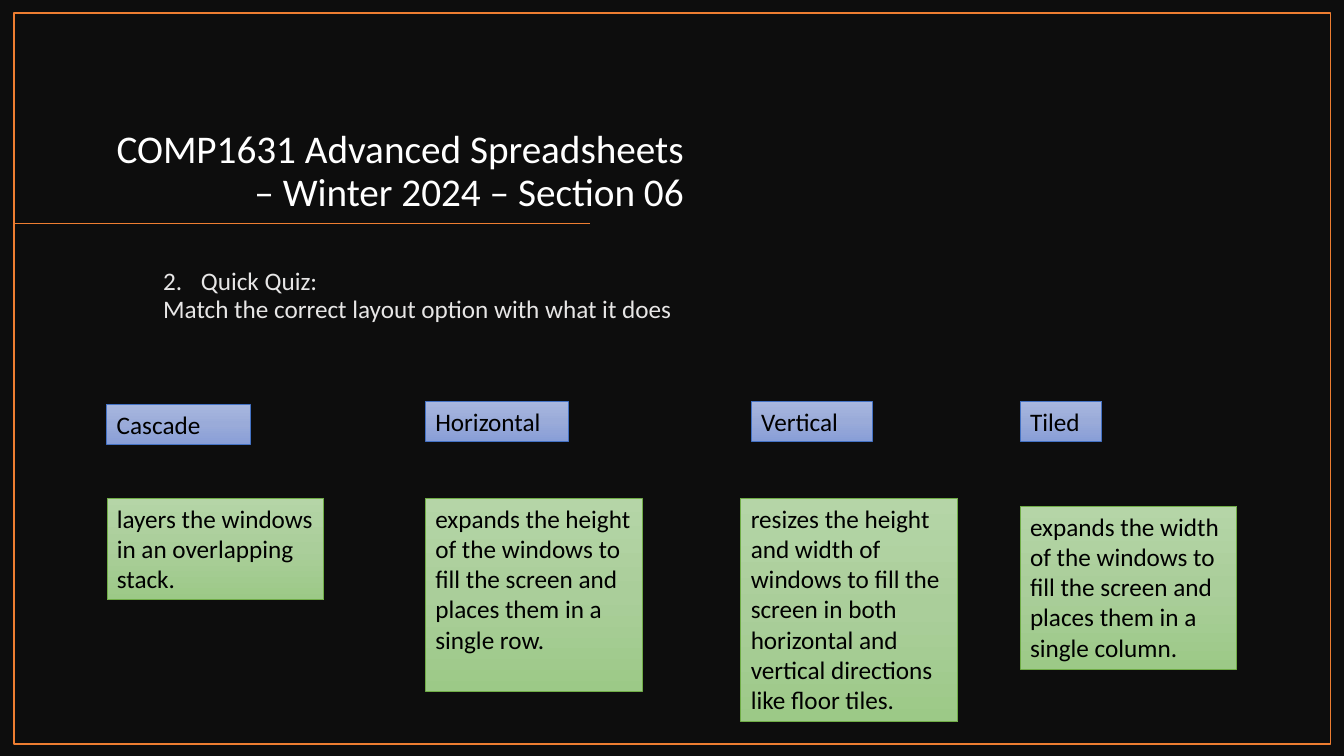
import copy

import lxml.etree
import pptx
import pptx.dml.color
import pptx.enum.shapes
import pptx.enum.text
import pptx.oxml.ns
import pptx.util

ALIGN = pptx.enum.text.PP_ALIGN
ANCHOR = pptx.enum.text.MSO_ANCHOR

BLUE = ("A8B7DF", "9AABD9", "889ED7")
GREEN = ("B5D5A7", "AACE9A", "9CC987")


def colour(code):
    return pptx.dml.color.RGBColor.from_string(code)


class QuizSlide:
    font_name = "Calibri"
    accent = "ED7D31"

    def __init__(self, deck):
        self.deck = deck
        self.page = deck.slides.add_slide(deck.slide_layouts[6])

    def across(self, percent):
        return round(self.deck.slide_width * percent / 100)

    def down(self, percent):
        return round(self.deck.slide_height * percent / 100)

    def place(self, left, top, width, height):
        return self.across(left), self.down(top), self.across(width), self.down(height)

    def rectangle(self, *area):
        box = self.page.shapes.add_shape(
            pptx.enum.shapes.MSO_SHAPE.RECTANGLE, *self.place(*area))
        box.shadow.inherit = False
        return box

    def backdrop(self, code):
        box = self.rectangle(0, 0, 100, 100)
        box.fill.solid()
        box.fill.fore_color.rgb = colour(code)
        box.line.fill.background()

    def outline(self, item, code, points):
        item.line.color.rgb = colour(code)
        item.line.width = pptx.util.Pt(points)

    def frame(self, *area):
        box = self.rectangle(*area)
        box.fill.background()
        self.outline(box, self.accent, 1)

    def rule(self, start, end, height):
        line = self.page.shapes.add_connector(
            pptx.enum.shapes.MSO_CONNECTOR.STRAIGHT,
            self.across(start), self.down(height), self.across(end), self.down(height))
        self.outline(line, self.accent, 1)
        lxml.etree.SubElement(line.element.spPr, pptx.oxml.ns.qn("a:effectLst"))

    def fill_text(self, box, lines, size, code, align=ALIGN.LEFT, anchor=ANCHOR.TOP, spacing=1.0):
        frame = box.text_frame
        frame.word_wrap = True
        frame.vertical_anchor = anchor
        frame.text = "\n".join(lines)
        for para in frame.paragraphs:
            para.alignment = align
            para.line_spacing = spacing
            para.font.name = self.font_name
            para.font.size = pptx.util.Pt(size)
            para.font.color.rgb = colour(code)
        return frame

    def text(self, area, lines, size, code, **style):
        box = self.page.shapes.add_textbox(*self.place(*area))
        return self.fill_text(box, lines, size, code, **style)

    def number(self, para, start, indent):
        properties = para._p.get_or_add_pPr()
        properties.set("marL", str(self.across(indent)))
        properties.set("indent", str(-self.across(indent)))
        bullet = pptx.oxml.ns.qn("a:buAutoNum")
        mark = properties.makeelement(bullet, {"type": "arabicPeriod", "startAt": str(start)})
        properties.find(pptx.oxml.ns.qn("a:defRPr")).addprevious(mark)

    def card(self, area, words, shades, border):
        box = self.rectangle(*area)
        box.fill.gradient()
        box.fill.gradient_angle = 270
        first = box.element.spPr.find(".//" + pptx.oxml.ns.qn("a:gs"))
        first.addnext(copy.deepcopy(first))
        for stop, position, shade in zip(box.fill.gradient_stops, (0, 0.5, 1), shades):
            stop.position = position
            stop.color.rgb = colour(shade)
        self.outline(box, border, 0.5)
        self.fill_text(box, [words], 18, "000000")


def main():
    deck = pptx.Presentation()
    deck.slide_width = pptx.util.Inches(13.33)
    deck.slide_height = pptx.util.Inches(7.5)
    quiz = QuizSlide(deck)

    quiz.backdrop("0D0D0D")
    quiz.text((6.9, 9.73, 44.7, 19.33),
              ["COMP1631 Advanced Spreadsheets – Winter 2024 – Section 06"],
              28, "FFFFFF", align=ALIGN.RIGHT, anchor=ANCHOR.BOTTOM, spacing=0.9)
    quiz.rule(43.87, 1.05, 29.6)
    question = quiz.text((11.4, 34.93, 77.2, 51.47),
                         ["Quick Quiz:", "Match the correct layout option with what it does"],
                         18, "E7E6E6", spacing=0.9)
    quiz.number(question.paragraphs[0], 2, 2.81)
    quiz.frame(1.05, 1.73, 97.95, 96.67)

    options = [
        ("Cascade", 7.95, 53.47, 10.65),
        ("Horizontal", 31.65, 53.07, 10.65),
        ("Vertical", 55.9, 53.07, 9),
        ("Tiled", 75.9, 53.07, 6.08),
    ]
    meanings = [
        ("layers the windows in an overlapping stack.", 7.95, 65.87, 13.47),
        ("expands the height of the windows to fill the screen and places them "
         "in a single row.", 31.65, 65.87, 25.6),
        ("resizes the height and width of windows to fill the screen in both "
         "horizontal and vertical directions like floor tiles.", 55.12, 65.87, 29.6),
        ("expands the width of the windows to fill the screen and places them "
         "in a single column.", 75.9, 66.93, 21.6),
    ]
    for words, left, top, width in options:
        quiz.card((left, top, width, 5.33), words, BLUE, "4472C4")
    for words, left, top, height in meanings:
        quiz.card((left, top, 16.13, height), words, GREEN, "70AD47")

    deck.save("out.pptx")


if __name__ == "__main__":
    main()
